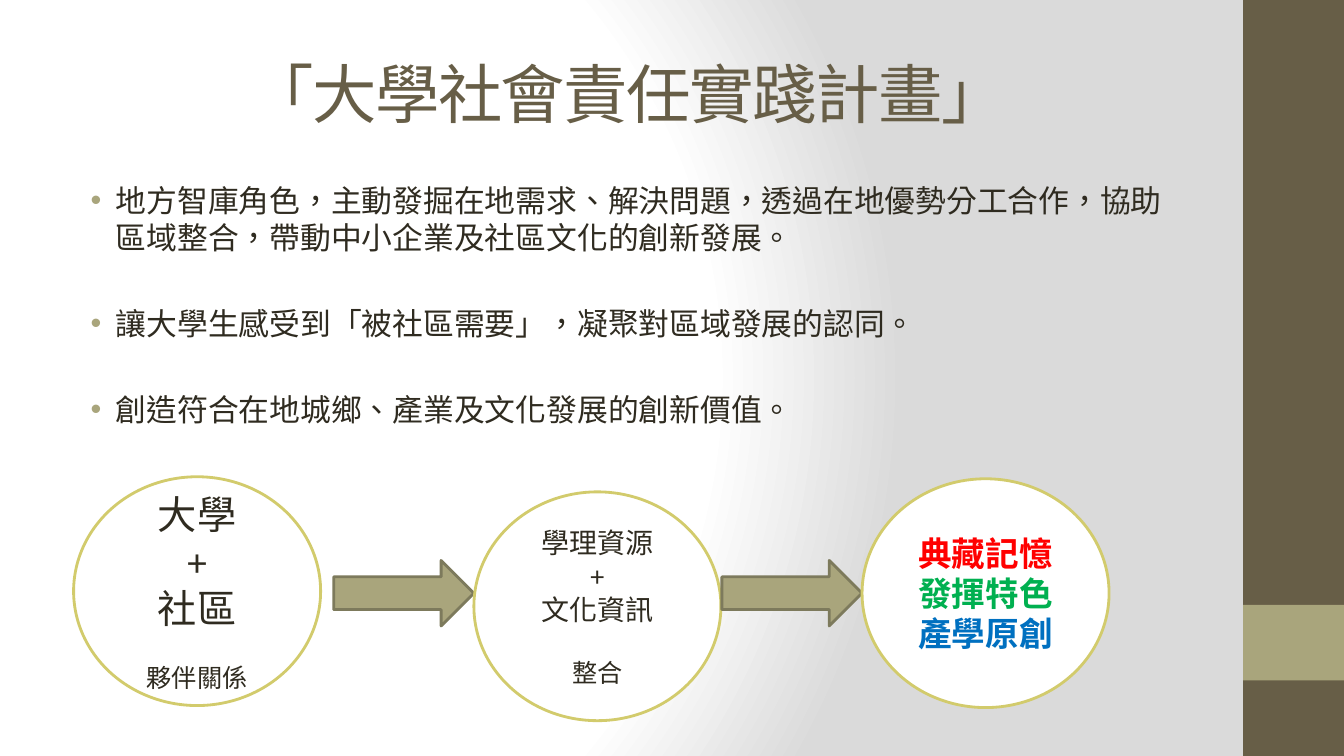
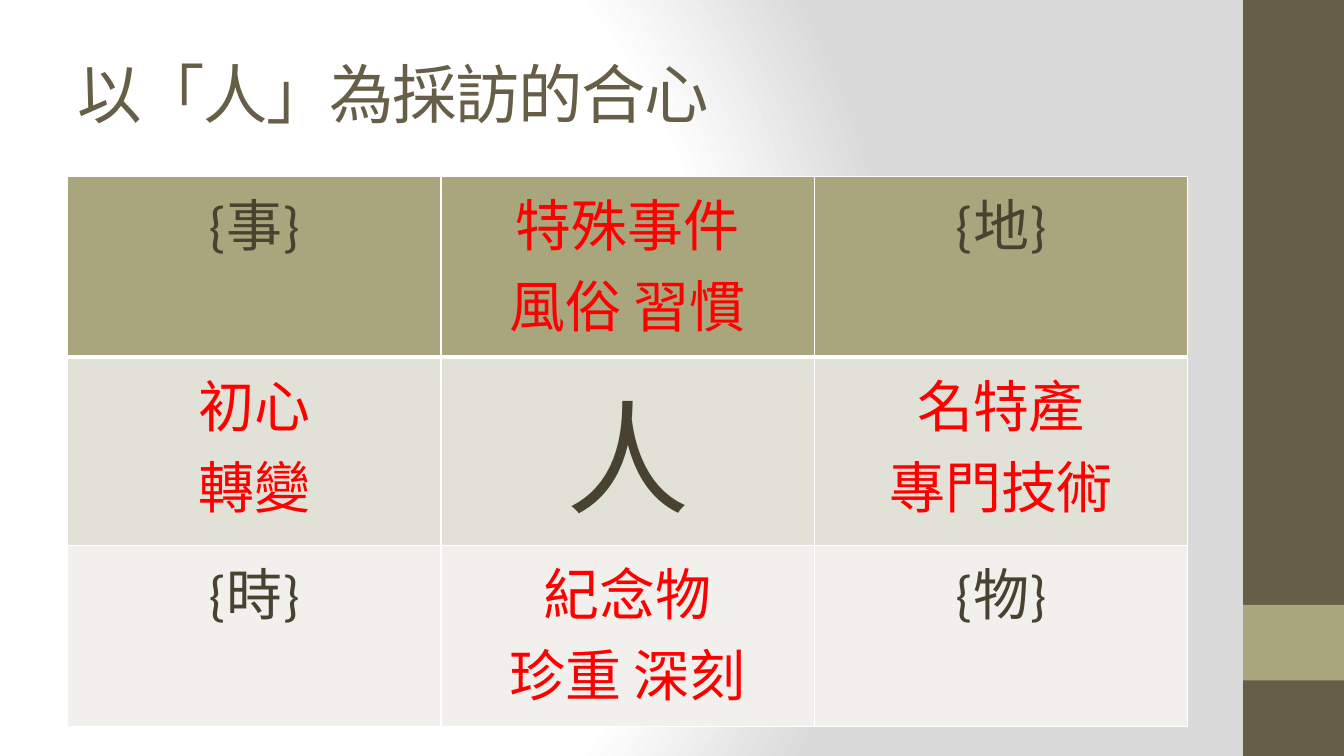
from lxml import etree
from pptx import Presentation
from pptx.dml.color import RGBColor
from pptx.enum.lang import MSO_LANGUAGE_ID
from pptx.enum.shapes import MSO_SHAPE
from pptx.enum.text import MSO_ANCHOR, PP_ALIGN
from pptx.oxml import parse_xml
from pptx.oxml.ns import nsdecls, qn
from pptx.util import Inches, Pt

BROWN, OLIVE, OLIVE_EDGE, LIME = "675E47", "A9A57C", "7D7A5C", "D2CB6C"
INK, DARK, WHITE = "2F2B20", "494231", "FFFFFF"
RED, GREEN, BLUE = "FF0000", "00B050", "0070C0"
ROW_FILLS = [OLIVE, "E2E1D7", "F1F0EC"]

TITLE_BOX = (0.67, 0.3, 11.11, 1.25)
BODY_BOX = (0.67, 1.75, 11.11, 5.25)
TABLE_BOX = (0.67, 1.75, 11.11, 5.38)
FLOW_BOX = (0.73, 4.73, 10.27, 2.42)

BACKGROUND = f"""<p:bg {nsdecls('p', 'a')}><p:bgPr><a:gradFill rotWithShape="1"><a:gsLst>
<a:gs pos="0"><a:srgbClr val="{WHITE}"/></a:gs>
<a:gs pos="75000"><a:srgbClr val="{WHITE}"/></a:gs>
<a:gs pos="100000"><a:srgbClr val="DADADA"/></a:gs></a:gsLst>
<a:path path="circle"><a:fillToRect l="20000" t="50000" r="100000" b="50000"/></a:path>
</a:gradFill><a:effectLst/></p:bgPr></p:bg>"""

TITLE_LEVEL = f"""<a:lvl1pPr {nsdecls('a')} algn="l"><a:spcBef><a:spcPts val="0"/></a:spcBef>
<a:buNone/><a:defRPr lang="zh-TW" sz="4600" spc="-100">
<a:solidFill><a:srgbClr val="{BROWN}"/></a:solidFill>
<a:latin typeface="Cambria"/></a:defRPr></a:lvl1pPr>"""

BODY_LEVEL = f"""<a:lvl1pPr {nsdecls('a')} marL="{Inches(0.38)}" indent="{Inches(-0.25)}" algn="l">
<a:spcBef><a:spcPts val="0"/></a:spcBef><a:buClr><a:srgbClr val="{OLIVE}"/></a:buClr>
<a:buFont typeface="Arial"/><a:buChar char="•"/><a:defRPr lang="zh-TW" sz="2200">
<a:solidFill><a:srgbClr val="{INK}"/></a:solidFill>
<a:latin typeface="Calibri"/><a:ea typeface="Calibri"/></a:defRPr></a:lvl1pPr>"""


def color(hex_value):
    return RGBColor.from_string(hex_value)


def place(shape, box):
    for name, value in zip(("left", "top", "width", "height"), box):
        setattr(shape, name, Inches(value))


def add_plain_shape(page, kind, box, fill, line=None):
    shape = page.shapes.add_shape(kind, *map(Inches, box))
    shape.shadow.inherit = False
    shape.fill.solid()
    shape.fill.fore_color.rgb = color(fill)
    if line:
        shape.line.color.rgb = color(line)
        shape.line.width = Pt(2)
    else:
        shape.line.fill.background()
    return shape


def set_east_asian_font(span, typeface):
    latin = span.font._element.find(qn("a:latin"))
    latin.addnext(latin.makeelement(qn("a:ea"), {"typeface": typeface}))


def write_lines(frame, lines):
    """Write centred paragraphs, each given as (text, size, colour, format values)."""
    spans = []
    for number, (text, size, ink, formats) in enumerate(lines):
        para = frame.add_paragraph() if number else frame.paragraphs[0]
        para.alignment = PP_ALIGN.CENTER
        para.space_before = Pt(formats.get("space_before", 0))
        span = para.add_run()
        span.text = text
        values = {"name": "Calibri", "size": Pt(size), "bold": formats.get("bold", False),
                  "language_id": MSO_LANGUAGE_ID.TRADITIONAL_CHINESE}
        for name, value in values.items():
            setattr(span.font, name, value)
        span.font.color.rgb = color(ink)
        spans.append(span)
    return spans


def style_master(deck, page):
    """Give the master its background, text styles and side bands."""
    master = deck.slide_master
    content = master.element.find(qn("p:cSld"))
    old = content.find(qn("p:bg"))
    if old is not None:
        content.remove(old)
    content.insert(0, parse_xml(BACKGROUND))

    for style, level in (("p:titleStyle", TITLE_LEVEL), ("p:bodyStyle", BODY_LEVEL)):
        first = next(master.element.iter(qn(style))).find(qn("a:lvl1pPr"))
        first.getparent().replace(first, parse_xml(level))
    for holder, box in zip(master.placeholders, (TITLE_BOX, BODY_BOX)):
        place(holder, box)

    bands = (((12.33, 0, 1, 7.5), BROWN), ((12.33, 6, 1, 0.75), OLIVE))
    for index, (box, fill) in enumerate(bands):
        band = add_plain_shape(page, MSO_SHAPE.RECTANGLE, box, fill)
        master.shapes.element.insert(2 + index, band.element)


def fill_bullets(holder, texts):
    frame = holder.text_frame
    for number, text in enumerate(texts):
        para = frame.add_paragraph() if number else frame.paragraphs[0]
        span = para.add_run()
        span.text = text
        span.font.language_id = MSO_LANGUAGE_ID.TRADITIONAL_CHINESE
        if number:
            para.space_before = Pt(35)


def add_flow(page, box, steps):
    """Draw ellipses with a block arrow leading into each one after the first."""
    left, top = box[:2]
    arrow_width, arrow_height = 1.39, 0.65
    for number, (across, down, lines) in enumerate(steps):
        if number:
            arrow_box = (left + across - arrow_width, top + 0.83, arrow_width, arrow_height)
            add_plain_shape(page, MSO_SHAPE.RIGHT_ARROW, arrow_box, OLIVE, OLIVE_EDGE)
        ellipse_box = (left + across, top + down, 2.45, 2.27)
        ellipse = add_plain_shape(page, MSO_SHAPE.OVAL, ellipse_box, WHITE, LIME)
        frame = ellipse.text_frame
        frame.word_wrap = True
        frame.vertical_anchor = MSO_ANCHOR.MIDDLE
        for span in write_lines(frame, lines):
            set_east_asian_font(span, "Calibri")


def set_borders(cell, widths):
    """Add white borders; widths are points for left, right, top and bottom."""
    properties = cell._tc.get_or_add_tcPr()
    for index, (side, width) in enumerate(zip("LRTB", widths)):
        line = etree.Element(qn(f"a:ln{side}"), w=str(Pt(width)))
        fill = etree.SubElement(line, qn("a:solidFill"))
        etree.SubElement(fill, qn("a:srgbClr"), val=WHITE)
        properties.insert(index, line)


def add_grid(page, box, rows):
    shape = page.shapes.add_table(len(rows), len(rows[0]), *map(Inches, box))
    table = shape.table
    table.first_row = table.horz_banding = False
    for row_number, row in enumerate(rows):
        top = 3 if row_number == 1 else 1
        bottom = 3 if row_number == 0 else 1
        for column_number, (size, ink, texts) in enumerate(row):
            cell = table.cell(row_number, column_number)
            cell.fill.solid()
            cell.fill.fore_color.rgb = color(ROW_FILLS[row_number])
            set_borders(cell, (1, 1, top, bottom))
            write_lines(cell.text_frame, [(text, size, ink, {}) for text in texts])


def set_title(page, text, alignment):
    para = page.shapes.title.text_frame.paragraphs[0]
    para.alignment = alignment
    span = para.add_run()
    span.text = text
    span.font.language_id = MSO_LANGUAGE_ID.TRADITIONAL_CHINESE


def build_plan_page(page):
    set_title(page, "「大學社會責任實踐計畫」", PP_ALIGN.CENTER)
    fill_bullets(page.placeholders[1], [
        "地方智庫角色，主動發掘在地需求、解決問題，透過在地優勢分工合作，"
        "協助區域整合，帶動中小企業及社區文化的創新發展。",
        "讓大學生感受到「被社區需要」，凝聚對區域發展的認同。",
        "創造符合在地城鄉、產業及文化發展的創新價值。",
    ])
    after_gap = {"space_before": 22}
    partners = [(text, 28, INK, {}) for text in ("大學", "+", "社區")]
    resources = [(text, 20, INK, {}) for text in ("學理資源", "+", "文化資訊")]
    results = [(text, 24, ink, {"bold": True}) for text, ink in
               (("典藏記憶", RED), ("發揮特色", GREEN), ("產學原創", BLUE))]
    add_flow(page, FLOW_BOX, [
        (0, 0, partners + [("夥伴關係", 18, INK, after_gap)]),
        (3.97, 0.15, resources + [("整合", 18, INK, after_gap)]),
        (7.82, 0.02, results),
    ])


def build_interview_page(page):
    set_title(page, "以「人」為採訪的合心", PP_ALIGN.LEFT)

    def heading(text):
        return 40, DARK, [text]

    def details(*texts):
        return 40, RED, texts

    add_grid(page, TABLE_BOX, [
        [heading("{事}"), details("特殊事件", "風俗 習慣"), heading("{地}")],
        [details("初心", "轉變"), (88, DARK, ["人"]), details("名特產", "專門技術")],
        [heading("{時}"), details("紀念物", "珍重 深刻"), heading("{物}")],
    ])


def main():
    deck = Presentation()
    deck.slide_width, deck.slide_height = Inches(13.33), Inches(7.5)
    plan_page = deck.slides.add_slide(deck.slide_layouts[1])
    style_master(deck, plan_page)
    build_plan_page(plan_page)
    build_interview_page(deck.slides.add_slide(deck.slide_layouts[5]))
    deck.save("out.pptx")


if __name__ == "__main__":
    main()
